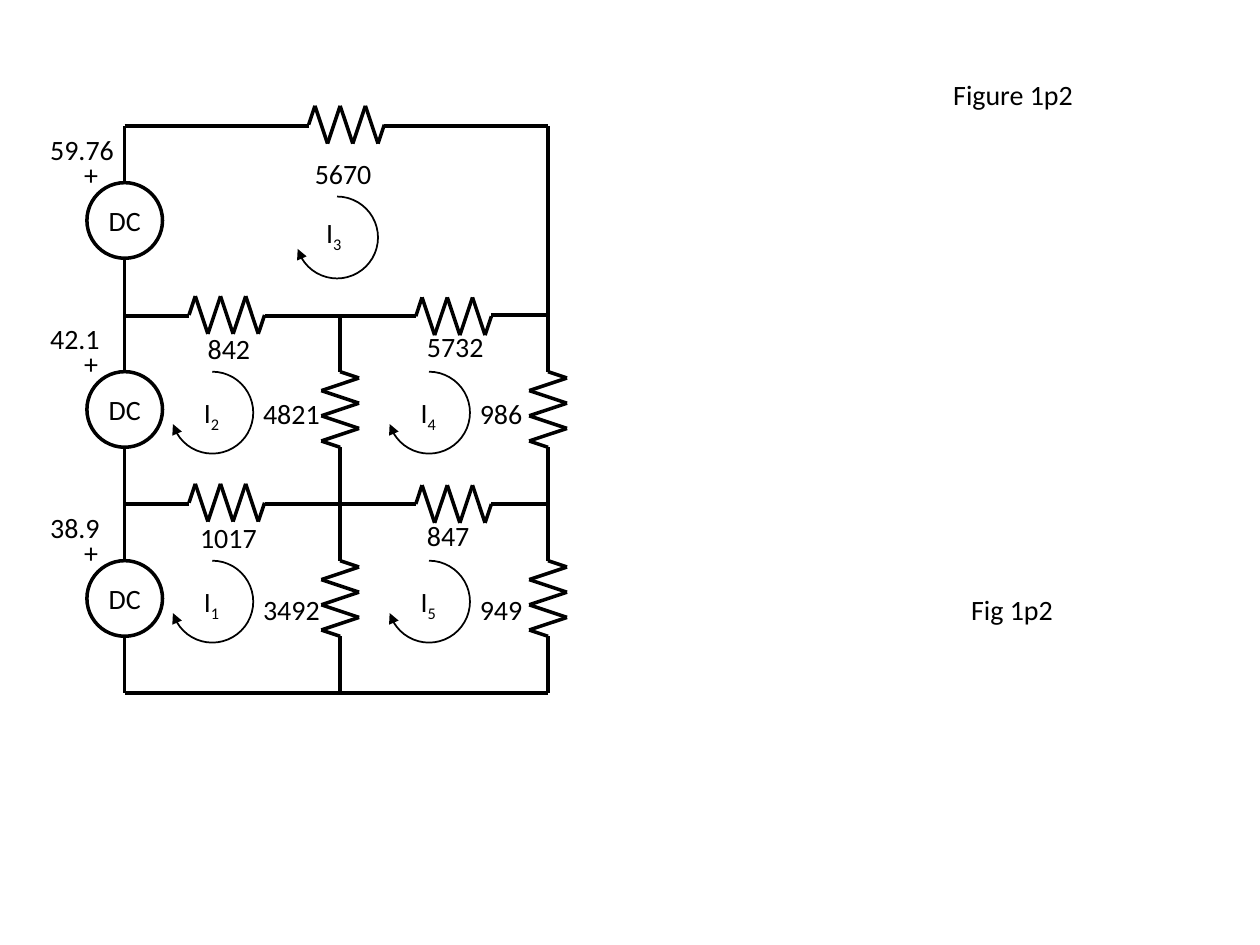
import pptx
import pptx.util
import pptx.dml.color
import pptx.enum.shapes
import pptx.enum.text
import pptx.oxml.ns
from lxml import etree

Inches = pptx.util.Inches
Pt = pptx.util.Pt
SHAPE = pptx.enum.shapes.MSO_SHAPE
ALIGN = pptx.enum.text.PP_ALIGN
ANCHOR = pptx.enum.text.MSO_ANCHOR
AUTO = pptx.enum.text.MSO_AUTO_SIZE
qn = pptx.oxml.ns.qn

COLORS = {"ink": "000000", "paper": "FFFFFF"}
FONT = "Calibri"
RAIL, MID, RIGHT = 0.69, 2.4, 4.05
RES = 0.6
STEPS = [0, 0.05, 0.15, 0.25, 0.35, 0.45, 0.55, RES]
SWINGS = [0, -0.15, 0.15, -0.15, 0.15, -0.15, 0.15, 0]

SOURCES = [("59.76", 0, 0.71), ("42.1", 1.5, 0.6), ("38.9", 3, 0.6)]
ACROSS = [(2.15, -0.01), (1.2, 1.5), (3, 1.51), (1.2, 2.99), (3, 3)]
DOWN = [(x, y) for x in (MID, RIGHT) for y in (1.95, 3.45)]
VALUES = [
    ("5670", 2.1, 0.19, 0.66), ("842", 1.25, 1.58, 0.54),
    ("1017", 1.19, 3.08, 0.66), ("4821", 1.69, 2.1, 0.66),
    ("3492", 1.69, 3.65, 0.66), ("986", 3.41, 2.1, 0.54),
    ("949", 3.41, 3.65, 0.54),
]
WIDE_VALUES = [("5732", 2.99, 1.57), ("847", 2.99, 3.07)]
LOOPS = [
    ("1", 1.06, 3.45, 0.16, 0.14), ("2", 1.06, 1.95, 0.16, 0.14),
    ("3", 2.05, 0.56, 0.14, 0.1), ("4", 2.78, 1.95, 0.16, 0.14),
    ("5", 2.78, 3.45, 0.16, 0.14),
]
WIRES = [
    (RAIL, 0, 2.15, 0), (2.75, 0, RIGHT, 0),
    (RAIL, 1.51, 1.2, 1.51), (1.8, 1.51, 3, 1.51), (3.6, 1.5, RIGHT, 1.5),
    (RAIL, 3, 1.2, 3), (1.8, 3, 3, 3), (3.6, 3, RIGHT, 3),
    (RAIL, 4.5, RIGHT, 4.5),
    (RIGHT, 0, RIGHT, 1.95), (MID, 1.5, MID, 1.95),
] + [
    (x, y, x, y + h) for x in (MID, RIGHT) for y, h in ((2.55, 0.9), (4.05, 0.45))
]


def ink(name="ink"):
    """Return the named colour."""
    return pptx.dml.color.RGBColor.from_string(COLORS[name])


def add_run(p, text, base=None):
    """Add one styled run, shifted off the baseline if asked."""
    r = p.add_run()
    r.text = text
    r.font.size = Pt(16)
    r.font.name = FONT
    r.font.color.rgb = ink()
    if base:
        r.font._element.set("baseline", str(base))


def add_label(shapes, x, y, w, text, sub=None, wrap=False):
    """Place a one-line label with an optional subscript."""
    sp = shapes.add_textbox(Inches(x), Inches(y), Inches(w), Inches(0.37))
    tf = sp.text_frame
    tf.word_wrap = wrap
    tf.auto_size = AUTO.SHAPE_TO_FIT_TEXT
    add_run(tf.paragraphs[0], text)
    if sub:
        add_run(tf.paragraphs[0], sub, -25000)


def add_wire(shapes, x1, y1, x2, y2):
    """Draw one straight wire."""
    sp = shapes.add_connector(
        pptx.enum.shapes.MSO_CONNECTOR.STRAIGHT,
        Inches(x1), Inches(y1), Inches(x2), Inches(y2))
    sp.line.color.rgb = ink()
    sp.line.width = Pt(2)
    etree.SubElement(sp._element.spPr, qn("a:effectLst"))
    return sp


def add_resistor(shapes, x, y, vertical=False):
    """Draw a grouped zigzag that starts at the given point."""
    points = [(x - a, y + d) if vertical else (x + d, y + a)
              for d, a in zip(STEPS, SWINGS)]
    group = shapes.add_group_shape()
    for start, end in zip(points, points[1:]):
        add_wire(group.shapes, *start, *end)


def add_source(shapes, x, y, value, width):
    """Draw a DC source with its leads, sign and voltage."""
    cx = x + RAIL
    sp = shapes.add_shape(SHAPE.OVAL, Inches(cx - 0.3), Inches(y + 0.45),
                          Inches(0.6), Inches(0.6))
    sp.shadow.inherit = False
    sp.fill.background()
    sp.line.color.rgb = ink()
    sp.line.width = Pt(2)
    tf = sp.text_frame
    tf.margin_left = tf.margin_right = tf.margin_top = tf.margin_bottom = 0
    tf.vertical_anchor = ANCHOR.MIDDLE
    tf.paragraphs[0].alignment = ALIGN.CENTER
    add_run(tf.paragraphs[0], "DC")
    add_wire(shapes, cx, y, cx, y + 0.45).end_connect(sp, 0)
    add_wire(shapes, cx, y + 1.05, cx, y + 1.5)
    add_label(shapes, x + 0.27, y + 0.2, 0.31, "+")
    add_label(shapes, x, y, width, value)


def add_loop(shapes, x, y, number, dx, dy):
    """Draw a clockwise loop arrow around its current name."""
    sp = shapes.add_shape(SHAPE.ARC, Inches(x), Inches(y), Inches(0.65), Inches(0.65))
    sp.adjustments[0] = 162
    sp.adjustments[1] = 98.286
    sp.shadow.inherit = False
    sp.fill.background()
    sp.line.color.rgb = ink()
    sp.line.width = Pt(1)
    etree.SubElement(sp.line._get_or_add_ln(), qn("a:tailEnd"), type="triangle")
    add_label(shapes, x + dx, y + dy, 0.33, "I", number)


def add_circuit(shapes, left, top):
    """Draw the five-loop circuit from its top left corner."""
    for x1, y1, x2, y2 in WIRES:
        add_wire(shapes, left + x1, top + y1, left + x2, top + y2)
    for value, y, width in SOURCES:
        add_source(shapes, left, top + y, value, width)
    for x, y in ACROSS:
        add_resistor(shapes, left + x, top + y)
    for x, y in DOWN:
        add_resistor(shapes, left + x, top + y, vertical=True)
    for value, x, y, width in VALUES:
        add_label(shapes, left + x, top + y, width, value)
    for value, x, y in WIDE_VALUES:
        add_label(shapes, left + x, top + y, 1.11, value, wrap=True)
    for number, x, y, dx, dy in LOOPS:
        add_loop(shapes, left + x, top + y, number, dx, dy)


def add_title(shapes, x, y, w, h):
    """Place the centred figure title."""
    sp = shapes.add_textbox(Inches(x), Inches(y), Inches(w), Inches(h))
    tf = sp.text_frame
    tf.word_wrap = True
    tf.vertical_anchor = ANCHOR.MIDDLE
    tf.paragraphs[0].alignment = ALIGN.CENTER
    add_run(tf.paragraphs[0], "Figure 1p2")


def main():
    """Build and save the slide."""
    prs = pptx.Presentation()
    prs.slide_width, prs.slide_height = Inches(10), Inches(7.5)
    s = prs.slides.add_slide(prs.slide_layouts[6])
    s.background.fill.solid()
    s.background.fill.fore_color.rgb = ink("paper")
    add_title(s.shapes, 6.58, 0.3, 2.92, 0.9)
    add_circuit(s.shapes, 0.3, 1)
    add_label(s.shapes, 7.61, 4.65, 0.86, "Fig 1p2")
    prs.save("out.pptx")


if __name__ == "__main__":
    main()
